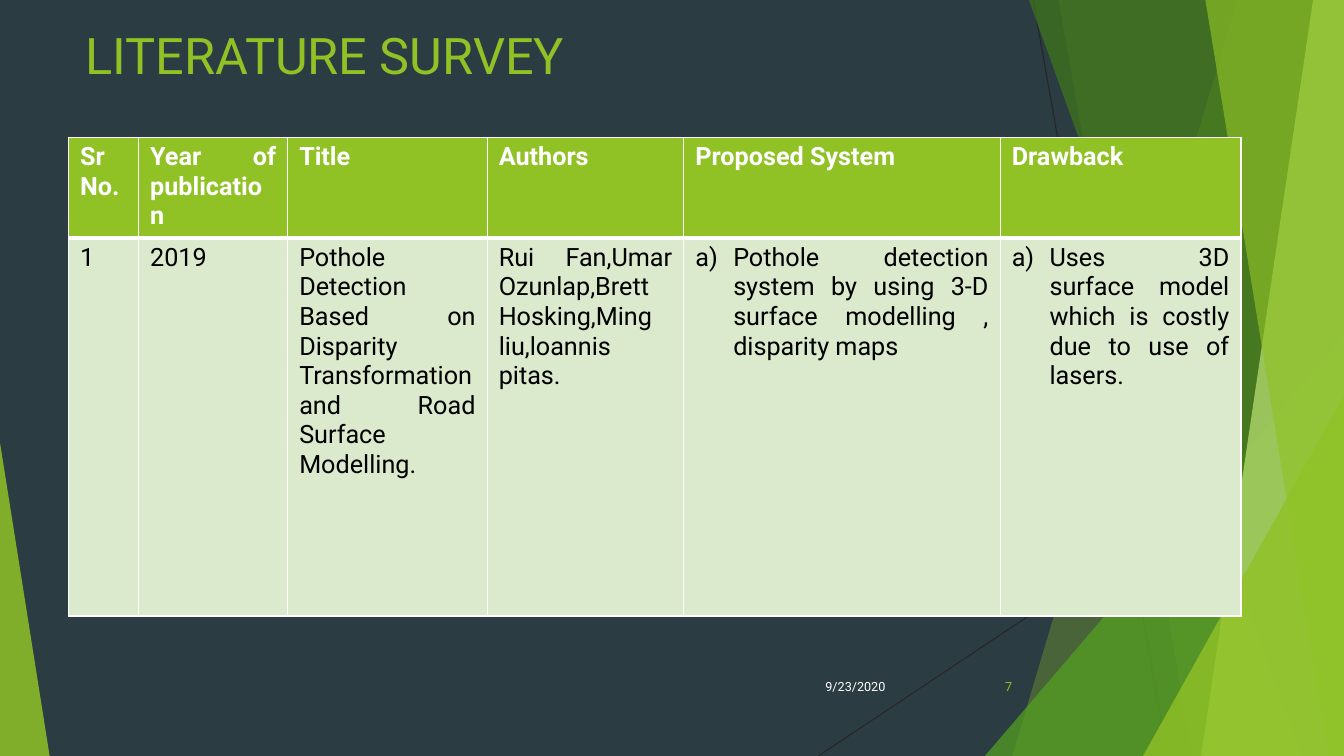
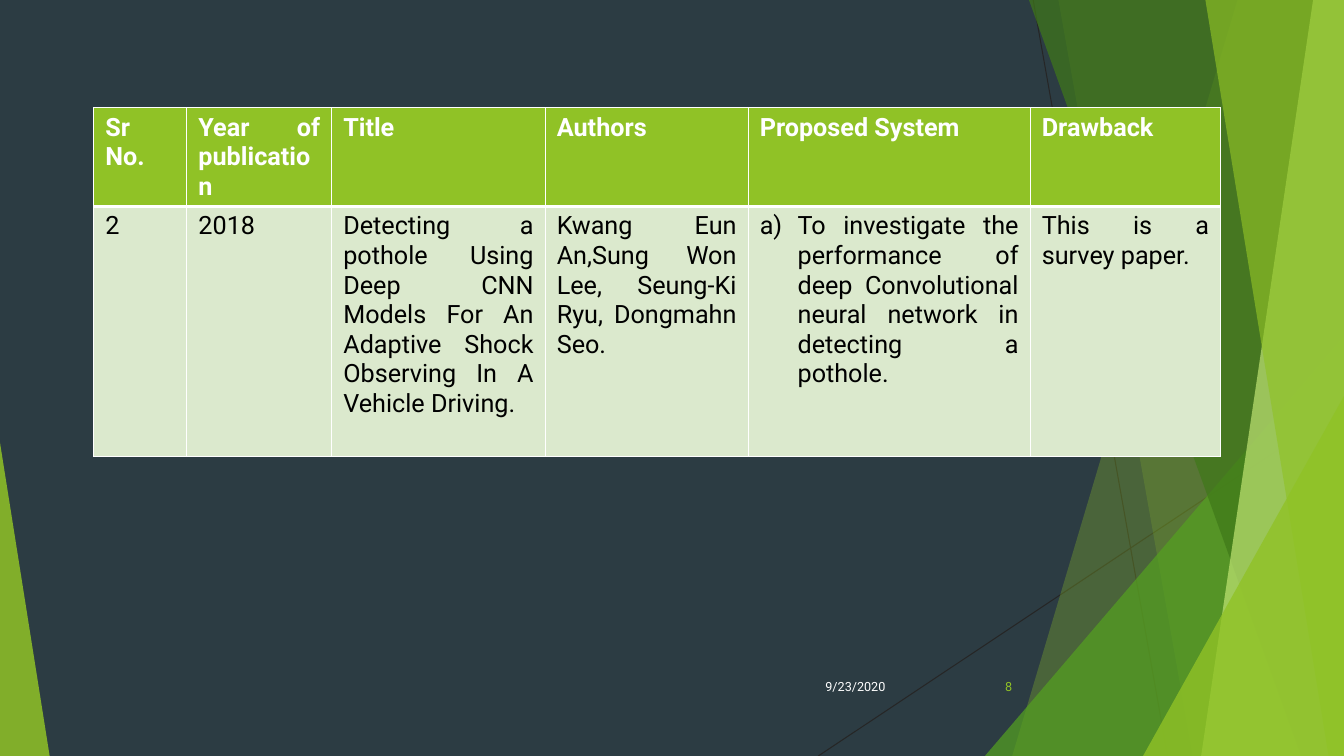
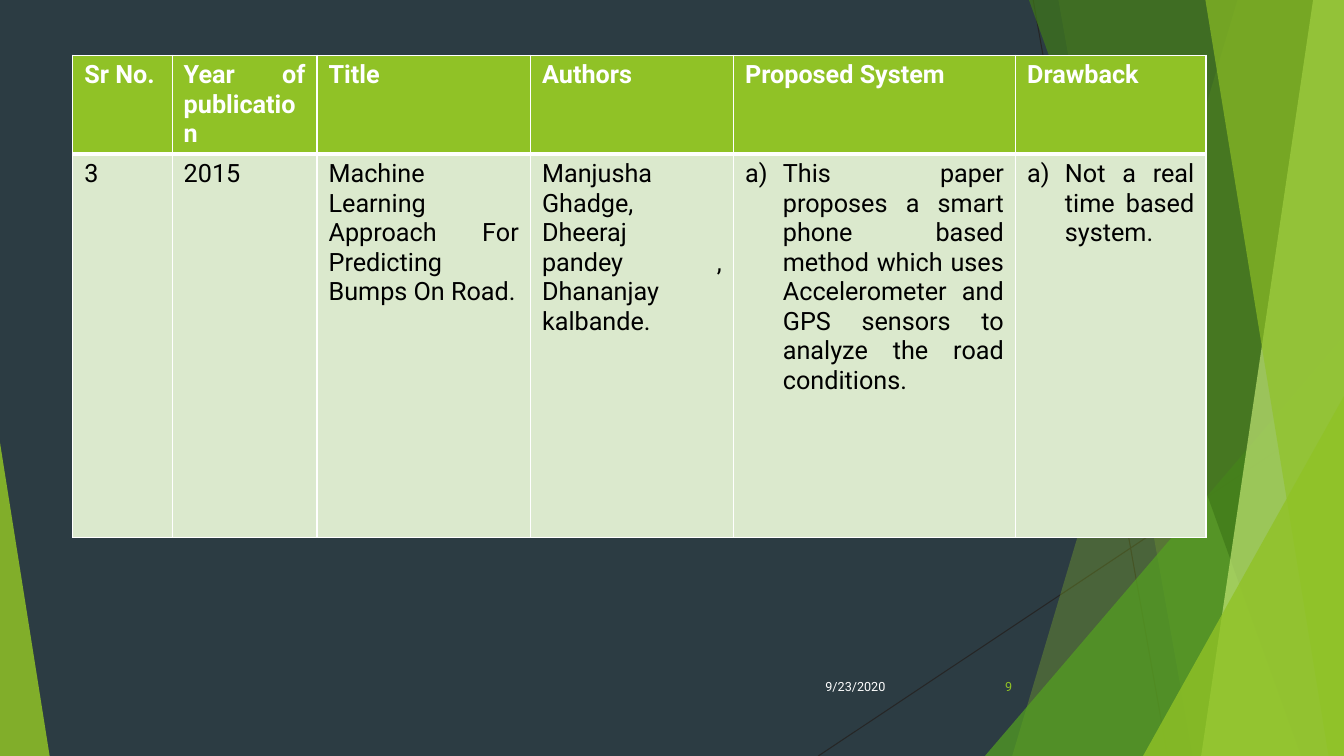
from dataclasses import dataclass

from lxml import etree
from pptx import Presentation
from pptx.dml.color import RGBColor
from pptx.enum.shapes import MSO_CONNECTOR, MSO_SHAPE
from pptx.enum.text import MSO_ANCHOR, PP_ALIGN
from pptx.oxml.ns import qn
from pptx.util import Pt

LINE = MSO_CONNECTOR.STRAIGHT
TRIANGLE = MSO_SHAPE.ISOSCELES_TRIANGLE
TOP, MIDDLE = MSO_ANCHOR.TOP, MSO_ANCHOR.MIDDLE
JUSTIFY, RIGHT = PP_ALIGN.JUSTIFY, PP_ALIGN.RIGHT


@dataclass(frozen=True)
class Theme:
    font: str = "Roboto"
    back: str = "2C3C43"
    lime: str = "90C226"
    green: str = "54A021"
    deep: str = "3F7819"
    pale: str = "C0E474"
    tint: str = "DBE9CD"
    wire: str = "262626"
    white: str = "FFFFFF"
    black: str = "000000"
    title: float = 36
    body: float = 18
    small: float = 9


T = Theme()
WIDE, HIGH = 960, 540
HEAD = 70.5
INDENT = 27
DATE = "9/23/2020"
HEADS = ["Sr No.", "Year of publication", "Title", "Authors",
         "Proposed System", "Drawback"]

# Ends of the thin lines: x, y, x, y
WIRES = [(738, 0, 834, 540), (960, 290, 584.5, 540)]
# Bands that reach the right edge: top x, bottom x, colour, opacity
LOW_BANDS = [(884, 723, T.lime, 30), (756, 852, T.lime, 20)]
HIGH_BANDS = [(735, 929.5, T.deep, 70), (938, 858, T.pale, 70),
              (861, 949, T.lime, 65)]
# Triangles that stand on the bottom edge: left, top, width, peak, colour, opacity
LOW_PEAK = (703.5, 240, 256.5, 1, T.green, 72)
HIGH_PEAKS = [(816.5, 283, 143.5, 1, T.lime, 80), (0, 316, 35.5, 0, T.lime, 85)]

COLS = [103.5, 152.5, 145, 201.5, 136]
PAGES = [
    dict(title="LITERATURE SURVEY", left=49, top=98, tall=270,
         cols=[50, 106.5, 142.5, 140.5, 226, 172], listed=(4, 5),
         row=["1", "2019",
              "Pothole Detection Based on Disparity Transformation and Road "
              "Surface Modelling.",
              "Rui Fan,Umar Ozunlap,Brett Hosking,Ming liu,loannis pitas.",
              "Pothole detection system by using 3-D surface modelling , "
              "disparity maps",
              "Uses 3D surface model which is costly due to use of lasers."]),
    dict(left=67, top=77, tall=178.5, cols=[66.5, *COLS], listed=(4,),
         row=["2", "2018",
              "Detecting a pothole Using Deep CNN Models For An Adaptive Shock "
              "Observing In A Vehicle Driving.",
              "Kwang Eun An,Sung Won Lee, Seung-Ki Ryu, Dongmahn Seo.",
              "To investigate the performance of deep Convolutional neural "
              "network in detecting a pothole.",
              "This is a survey paper."]),
    dict(left=52, top=39.5, tall=274, cols=[71, *COLS], listed=(4, 5),
         row=["3", "2015",
              "Machine Learning Approach For Predicting Bumps On Road.",
              "Manjusha Ghadge, Dheeraj pandey , Dhananjay kalbande.",
              "This paper proposes a smart phone based method which uses "
              "Accelerometer and GPS sensors to analyze the road conditions.",
              "Not a real time based system."]),
]


def rgb(color):
    return RGBColor.from_string(color)


def write(frame, text, size, color, align, bold=False):
    frame.text = text
    para = frame.paragraphs[0]
    para.alignment = align
    font = para.runs[0].font
    font.name, font.size, font.bold = T.font, Pt(size), bold
    font.color.rgb = rgb(color)
    return para


def label(slide, box, text, size, color, align, anchor):
    frame = slide.shapes.add_textbox(*map(Pt, box)).text_frame
    frame.word_wrap = True
    frame.vertical_anchor = anchor
    write(frame, text, size, color, align)


def paint(shape, color, alpha):
    """Fill with a see-through colour, without line or shadow."""
    shape.shadow.inherit = False
    shape.line.fill.background()
    shape.fill.solid()
    shape.fill.fore_color.rgb = rgb(color)
    tone = shape.fill._xPr.find(".//" + qn("a:srgbClr"))
    etree.SubElement(tone, qn("a:alpha"), val=str(alpha * 1000))


def wire(slide, ends):
    line = slide.shapes.add_connector(LINE, *map(Pt, ends))
    line.line.color.rgb = rgb(T.wire)
    line.line.width = Pt(0.75)
    etree.SubElement(line._element.spPr, qn("a:effectLst"))


def band(slide, top, foot, color, alpha):
    pen = slide.shapes.build_freeform(Pt(top), Pt(0))
    pen.add_line_segments([(Pt(WIDE), Pt(0)), (Pt(WIDE), Pt(HIGH)),
                           (Pt(foot), Pt(HIGH))])
    paint(pen.convert_to_shape(), color, alpha)


def peak(slide, left, top, width, tip, color, alpha):
    box = (left, top, width, HIGH - top)
    shape = slide.shapes.add_shape(TRIANGLE, *map(Pt, box))
    shape.adjustments[0] = tip
    paint(shape, color, alpha)


def decor(slide):
    for ends in WIRES:
        wire(slide, ends)
    for item in LOW_BANDS:
        band(slide, *item)
    peak(slide, *LOW_PEAK)
    for item in HIGH_BANDS:
        band(slide, *item)
    for item in HIGH_PEAKS:
        peak(slide, *item)


def border(cell, **widths):
    props = cell._tc.get_or_add_tcPr()
    for side in "LRTB":
        line = etree.SubElement(props, qn("a:ln" + side),
                                w=str(Pt(widths.get(side, 1))))
        fill = etree.SubElement(line, qn("a:solidFill"))
        etree.SubElement(fill, qn("a:srgbClr"), val=T.white)


def letter(para):
    """Number the paragraph a), b), ... with a hanging indent."""
    props = para._p.get_or_add_pPr()
    props.set("marL", str(Pt(INDENT)))
    props.set("indent", str(-Pt(INDENT)))
    etree.SubElement(props, qn("a:buAutoNum"), type="alphaLcParenR")


def style(cell, text, head):
    cell.margin_left = cell.margin_right = Pt(8.3)
    cell.margin_top = cell.margin_bottom = Pt(3.6)
    border(cell, **({"B": 3} if head else {"T": 3}))
    cell.fill.solid()
    cell.fill.fore_color.rgb = rgb(T.lime if head else T.tint)
    return write(cell.text_frame, text, T.body,
                 T.white if head else T.black, JUSTIFY, head)


def survey(slide, left, top, tall, cols, row, listed):
    box = (left, top, sum(cols), HEAD + tall)
    table = slide.shapes.add_table(2, len(cols), *map(Pt, box)).table
    table.rows[0].height, table.rows[1].height = Pt(HEAD), Pt(tall)
    for i, width in enumerate(cols):
        table.columns[i].width = Pt(width)
        style(table.cell(0, i), HEADS[i], True)
        para = style(table.cell(1, i), row[i], False)
        if i in listed:
            letter(para)


def footer(slide, number):
    label(slide, (567.5, 476, 72, 28.75), DATE, T.small, T.white, RIGHT, MIDDLE)
    label(slide, (676, 476, 54, 28.75), str(number), T.small, T.lime,
          RIGHT, MIDDLE)


def page(deck, number, title=None, **grid):
    slide = deck.slides.add_slide(deck.slide_layouts[6])
    decor(slide)
    if title:
        label(slide, (54, 13.5, 818.5, 90.5), title, T.title, T.lime,
              JUSTIFY, TOP)
    survey(slide, **grid)
    footer(slide, number)


def main():
    deck = Presentation()
    deck.slide_width, deck.slide_height = Pt(WIDE), Pt(HIGH)
    fill = deck.slide_master.background.fill
    fill.solid()
    fill.fore_color.rgb = rgb(T.back)
    for number, item in enumerate(PAGES, 7):
        page(deck, number, **item)
    deck.save("out.pptx")


if __name__ == "__main__":
    main()
